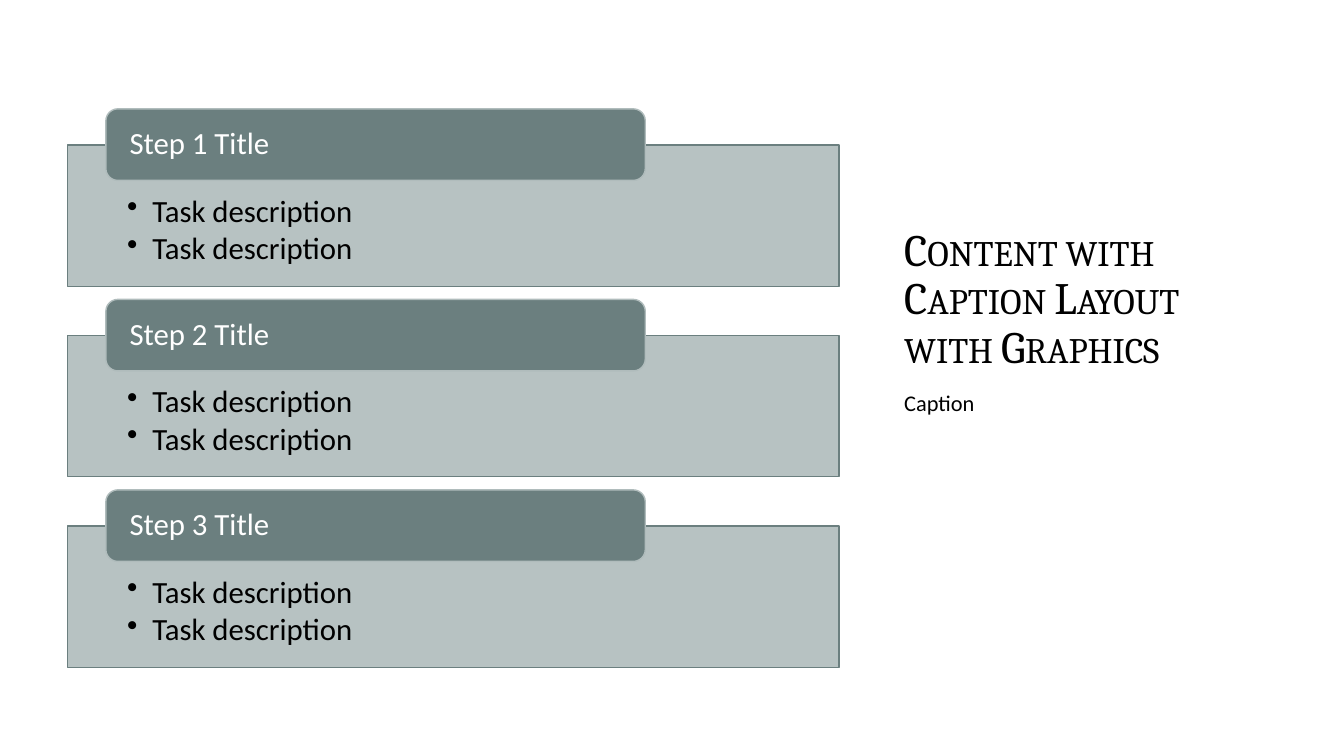
from lxml.etree import SubElement
from pptx import Presentation
from pptx.dml.color import RGBColor
from pptx.enum.shapes import MSO_SHAPE as Preset
from pptx.enum.text import MSO_ANCHOR as Anchor, PP_ALIGN as Align
from pptx.oxml.ns import qn
from pptx.util import Inches, Pt

COLORS = {"dark": "6B7F7F", "light": "B0BCBC", "text": "000000", "white": "FFFFFF"}
STEPS = ["Step 1 Title", "Step 2 Title", "Step 3 Title"]
TASKS = ["Task description", "Task description"]
STEP_PITCH = 1.89


def color(name):
    return RGBColor.from_string(COLORS[name])


def add_bullet(paragraph):
    properties = paragraph._p.get_or_add_pPr()
    properties.set("marL", str(Inches(0.25)))
    properties.set("indent", str(Inches(-0.25)))
    SubElement(properties, qn("a:buChar"), char="•")


def write_text(shape, lines, size, font="Calibri", fill="text", anchor=Anchor.TOP,
               insets=(0.1, 0.05, 0.1, 0.05), space_after=0, bullets=False,
               small_caps=False):
    frame = shape.text_frame
    frame.word_wrap = True
    frame.vertical_anchor = anchor
    (frame.margin_left, frame.margin_top,
     frame.margin_right, frame.margin_bottom) = map(Inches, insets)
    for index, line in enumerate(lines):
        paragraph = frame.add_paragraph() if index else frame.paragraphs[0]
        paragraph.alignment = Align.LEFT
        paragraph.line_spacing = 0.9
        paragraph.space_after = Pt(space_after)
        if bullets:
            add_bullet(paragraph)
        run = paragraph.add_run()
        run.text = line
        run.font.name = font
        run.font.size = Pt(size)
        run.font.color.rgb = color(fill)
        if small_caps:
            run._r.get_or_add_rPr().set("cap", "small")


def add_box(slide, preset, left, top, width, height, fill, line, opacity=100):
    shape = slide.shapes.add_shape(
        preset, Inches(left), Inches(top), Inches(width), Inches(height))
    shape.shadow.inherit = False
    shape.fill.solid()
    shape.fill.fore_color.rgb = color(fill)
    shape.line.color.rgb = color(line)
    shape.line.width = Pt(1)
    if opacity < 100:
        fill_color = shape._element.spPr.find(qn("a:solidFill"))[0]
        SubElement(fill_color, qn("a:alpha"), val=str(opacity * 1000))
    return shape


def add_text_box(slide, left, top, width, height, lines, size, **text_format):
    box = slide.shapes.add_textbox(
        Inches(left), Inches(top), Inches(width), Inches(height))
    write_text(box, lines, size, **text_format)


def add_step(slide, top, title, tasks):
    panel = add_box(slide, Preset.RECTANGLE, 0.67, top + 0.36, 7.65, 1.4,
                    "light", "dark", opacity=90)
    write_text(panel, tasks, 22, insets=(0.59, 0.5, 0.59, 0.17),
               space_after=3.3, bullets=True)
    header = add_box(slide, Preset.ROUNDED_RECTANGLE, 1.05, top, 5.35, 0.71,
                     "dark", "light")
    # The rounded corners add their own small inset to the text area
    write_text(header, [title], 22, fill="white", anchor=Anchor.MIDDLE,
               insets=(0.2, 0, 0.2, 0))


def main():
    presentation = Presentation()
    presentation.slide_width = Inches(13.33)
    presentation.slide_height = Inches(7.5)
    slide = presentation.slides.add_slide(presentation.slide_layouts[6])

    # Steps on the left
    for index, title in enumerate(STEPS):
        add_step(slide, 1.08 + index * STEP_PITCH, title, TASKS)

    # Title and caption on the right
    add_text_box(slide, 8.87, 1.25, 3.8, 2.5,
                 ["Content with Caption Layout with Graphics"], 32,
                 font="Cambria", anchor=Anchor.BOTTOM, small_caps=True)
    add_text_box(slide, 8.87, 3.84, 3.8, 2.3, ["Caption"], 16)

    presentation.save("out.pptx")


if __name__ == "__main__":
    main()
